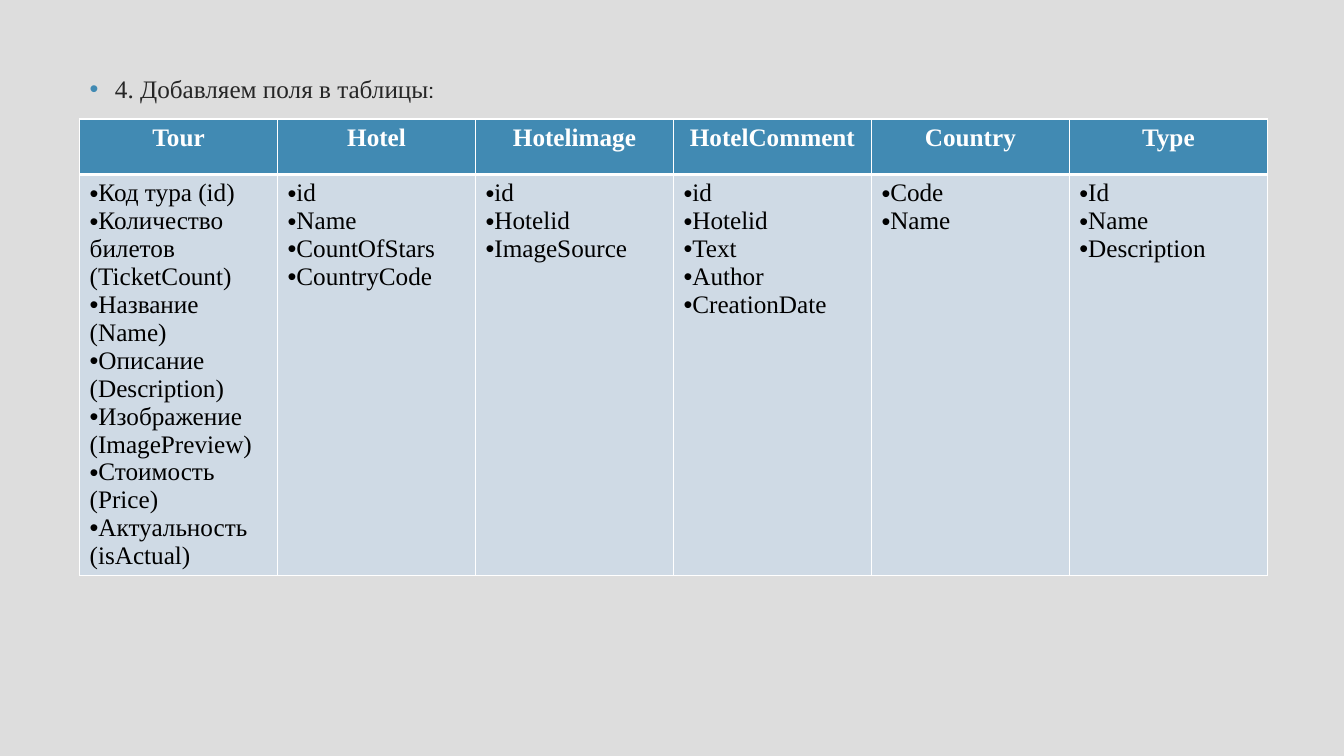
from dataclasses import dataclass

from lxml import etree
from pptx import Presentation
from pptx.dml.color import RGBColor
from pptx.enum import text
from pptx.oxml import ns
from pptx.util import Pt

HEADING = ("4. Добавляем поля в\u00a0таблицы", ":")
TABLES = {
    "Tour": [
        "Код тура (id)",
        "Количество билетов (TicketCount)",
        "Название (Name)",
        "Описание (Description)",
        "Изображение (ImagePreview)",
        "Стоимость (Price)",
        "Актуальность (isActual)",
    ],
    "Hotel": ["id", "Name", "CountOfStars", "CountryCode"],
    "Hotelimage": ["id", "Hotelid", "ImageSource"],
    "HotelComment": ["id", "Hotelid", "Text", "Author", "CreationDate"],
    "Country": ["Code", "Name"],
    "Type": ["Id", "Name", "Description"],
}


@dataclass(frozen=True)
class Theme:
    background: str = "DDDDDD"
    accent: str = "418AB3"
    band: str = "CFDAE5"
    white: str = "FFFFFF"
    black: str = "000000"
    heading: str = "262626"
    font: str = "Times New Roman"
    colon_font: str = "Cabin"
    size: int = 18


THEME = Theme()
LEFT, WIDTH = 56.9, 848.4
BODY_TOP, BODY_HEIGHT = 49, 444
TABLE_TOP = 85
ROW_HEIGHTS = (39.6, 286)


def add_child(parent, tag, **attributes):
    return etree.SubElement(parent, ns.qn(tag), attributes)


def add_bullet(paragraph, color, indent=0):
    properties = paragraph._p.get_or_add_pPr()
    properties.set("marL", str(Pt(indent)))
    properties.set("indent", str(-Pt(indent)))
    add_child(add_child(properties, "a:buClr"), "a:srgbClr", val=color)
    add_child(properties, "a:buFont", typeface="Arial")
    add_child(properties, "a:buChar", char="•")


def add_run(paragraph, words, color, bold=False, name=THEME.font):
    run = paragraph.add_run()
    run.text = words
    font_format = {"name": name, "size": Pt(THEME.size), "bold": bold}
    for attribute, value in font_format.items():
        setattr(run.font, attribute, value)
    run.font.color.rgb = RGBColor.from_string(color)


def style_cell(cell, fill, top=1, bottom=1):
    properties = cell._tc.get_or_add_tcPr()
    borders = {"a:lnL": 1, "a:lnR": 1, "a:lnT": top, "a:lnB": bottom}
    for tag, width in borders.items():
        line = add_child(properties, tag, w=str(Pt(width)))
        add_child(add_child(line, "a:solidFill"), "a:srgbClr", val=THEME.white)
    cell.fill.solid()
    cell.fill.fore_color.rgb = RGBColor.from_string(fill)


def add_heading(slide):
    body = slide.placeholders[1]
    place = {"left": LEFT, "top": BODY_TOP, "width": WIDTH, "height": BODY_HEIGHT}
    for attribute, value in place.items():
        setattr(body, attribute, Pt(value))
    body.text_frame.auto_size = text.MSO_AUTO_SIZE.NONE
    paragraph = body.text_frame.paragraphs[0]
    add_bullet(paragraph, THEME.accent, indent=18)
    paragraph.space_before = Pt(0)
    for words, name in zip(HEADING, (THEME.font, THEME.colon_font)):
        add_run(paragraph, words, THEME.heading, name=name)


def add_field_table(slide):
    frame = slide.shapes.add_table(
        2, len(TABLES), Pt(LEFT), Pt(TABLE_TOP), Pt(WIDTH), Pt(sum(ROW_HEIGHTS))
    )
    table = frame.table
    for row, height in zip(table.rows, ROW_HEIGHTS):
        row.height = Pt(height)
    for index, (name, fields) in enumerate(TABLES.items()):
        table.columns[index].width = Pt(WIDTH / len(TABLES))
        header, content = table.cell(0, index), table.cell(1, index)
        style_cell(header, THEME.accent, bottom=3)
        style_cell(content, THEME.band, top=3)
        paragraph = header.text_frame.paragraphs[0]
        paragraph.alignment = text.PP_ALIGN.CENTER
        add_run(paragraph, name, THEME.white, bold=True)
        for number, field in enumerate(fields):
            text_frame = content.text_frame
            paragraph = text_frame.add_paragraph() if number else text_frame.paragraphs[0]
            add_bullet(paragraph, THEME.black)
            add_run(paragraph, field, THEME.black)


def main():
    presentation = Presentation()
    presentation.slide_width, presentation.slide_height = Pt(960), Pt(540)
    slide = presentation.slides.add_slide(presentation.slide_layouts[1])
    slide.background.fill.solid()
    slide.background.fill.fore_color.rgb = RGBColor.from_string(THEME.background)
    title = slide.shapes.title.element
    title.getparent().remove(title)
    add_heading(slide)
    add_field_table(slide)
    presentation.save("out.pptx")


if __name__ == "__main__":
    main()
